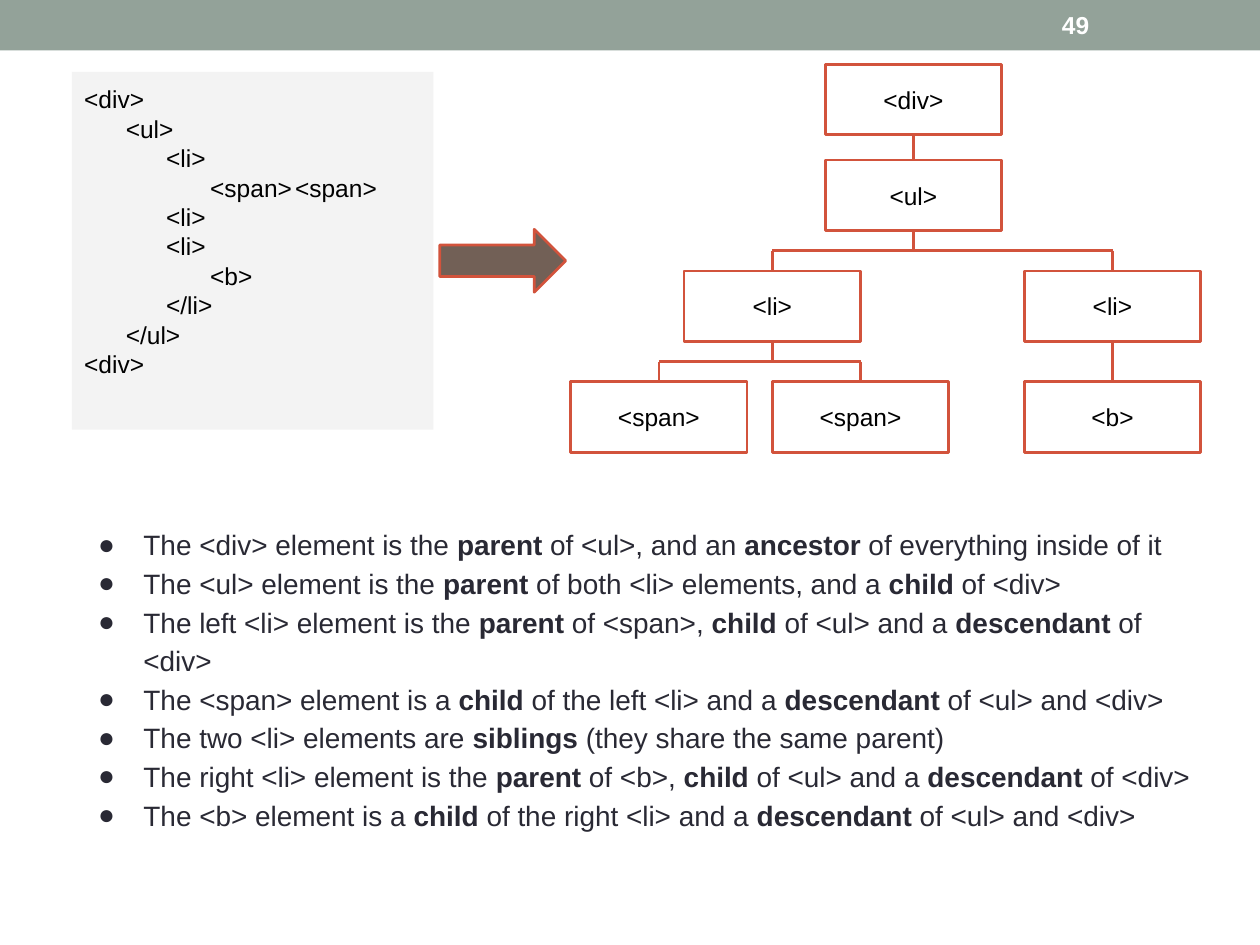
import pptx
import pptx.dml.color
import pptx.enum.shapes
import pptx.enum.text
import pptx.oxml.xmlchemy
import pptx.util
from pptx.dml.color import RGBColor
from pptx.util import Inches

SAGE = RGBColor(0x93, 0xA2, 0x99)
RUST = RGBColor(0xD2, 0x53, 0x3C)
BROWN = RGBColor(0x72, 0x60, 0x56)
PALE_GREY = RGBColor(0xF3, 0xF3, 0xF3)
INK = RGBColor(0x29, 0x29, 0x34)
BLACK = RGBColor(0, 0, 0)
WHITE = RGBColor(0xFF, 0xFF, 0xFF)

SHAPES = pptx.enum.shapes.MSO_SHAPE
ANCHOR = pptx.enum.text.MSO_ANCHOR
ALIGN = pptx.enum.text.PP_ALIGN

NODE_WIDTH, NODE_HEIGHT = 1.4, 0.56
TOP, BOTTOM = 0, 2  # connection sites

# Tag and nesting depth of each code line
CODE_INDENTS = [0, 0.33, 0.65, 1]
CODE = [
    ("<div>", 0), ("<ul>", 1), ("<li>", 2), ("<span>\t\t<span>", 3),
    ("<li>", 2), ("<li>", 2), ("<b>", 3), ("</li>", 2), ("</ul>", 1), ("<div>", 0),
]

# Asterisks enclose bold words
RELATIONS = [
    "The <div> element is the *parent* of <ul>, and an *ancestor* of everything inside of it",
    "The <ul> element is the *parent* of both <li> elements, and a *child* of <div>",
    "The left <li> element is the *parent* of <span>, *child* of <ul> and a *descendant* of <div>",
    "The <span> element is a *child* of the left <li> and a *descendant* of <ul> and <div>",
    "The two <li> elements are *siblings* (they share the same parent)",
    "The right <li> element is the *parent* of <b>, *child* of <ul> and a *descendant* of <div>",
    "The <b> element is a *child* of the right <li> and a *descendant* of <ul> and <div>",
]


class SlideBuilder:
    font_name = "Arial"
    line_width = pptx.util.Pt(1.5)

    def __init__(self, slide):
        self.slide = slide

    def style_font(self, font, size, color, bold=False):
        font.name = self.font_name
        font.size = pptx.util.Pt(size)
        font.color.rgb = color
        font.bold = bold

    def set_frame(self, frame, anchor, vertical_inset=0.1):
        frame.word_wrap = True
        frame.vertical_anchor = anchor
        frame.margin_left = frame.margin_right = Inches(0.1)
        frame.margin_top = frame.margin_bottom = Inches(vertical_inset)

    def shape(self, kind, left, top, width, height, fill, line=None):
        shape = self.slide.shapes.add_shape(
            kind, Inches(left), Inches(top), Inches(width), Inches(height))
        shape.shadow.inherit = False
        shape.fill.solid()
        shape.fill.fore_color.rgb = fill
        if line is None:
            shape.line.fill.background()
        else:
            shape.line.color.rgb = line
            shape.line.width = self.line_width
        return shape

    def text_box(self, left, top, width, height, vertical_inset=0.1):
        box = self.slide.shapes.add_textbox(
            Inches(left), Inches(top), Inches(width), Inches(height))
        self.set_frame(box.text_frame, ANCHOR.MIDDLE, vertical_inset)
        return box.text_frame

    def node(self, tag, center, top):
        shape = self.shape(SHAPES.RECTANGLE, center - NODE_WIDTH / 2, top,
                           NODE_WIDTH, NODE_HEIGHT, WHITE, RUST)
        frame = shape.text_frame
        self.set_frame(frame, ANCHOR.MIDDLE)
        frame.text = tag
        paragraph = frame.paragraphs[0]
        paragraph.alignment = ALIGN.CENTER
        self.style_font(paragraph.runs[0].font, 14, BLACK)
        return shape

    def connector(self, start, end, parent=None, child=None):
        line = self.slide.shapes.add_connector(
            pptx.enum.shapes.MSO_CONNECTOR.STRAIGHT, *start, *end)
        if parent is not None:
            line.begin_connect(parent, BOTTOM)
        if child is not None:
            line.end_connect(child, TOP)
        line.line.color.rgb = RUST
        line.line.width = self.line_width
        properties = line._element.spPr
        properties.append(pptx.oxml.xmlchemy.OxmlElement("a:effectLst"))

    def branch(self, parent, *children):
        """Join a parent to its children, through a shared bar if there are several."""
        start = (parent.left + parent.width // 2, parent.top + parent.height)
        ends = [(child.left + child.width // 2, child.top) for child in children]
        if len(children) == 1:
            self.connector(start, ends[0], parent, children[0])
            return
        bar = (start[1] + ends[0][1]) // 2
        self.connector(start, (start[0], bar), parent=parent)
        self.connector((ends[0][0], bar), (ends[-1][0], bar))
        for child, end in zip(children, ends):
            self.connector((end[0], bar), end, child=child)

    def code_block(self, lines, left, top, width, height):
        frame = self.shape(SHAPES.RECTANGLE, left, top, width, height, PALE_GREY).text_frame
        self.set_frame(frame, ANCHOR.TOP)
        frame.text = "\n".join(tag for tag, depth in lines)
        for paragraph, (tag, depth) in zip(frame.paragraphs, lines):
            paragraph.alignment = ALIGN.LEFT
            properties = paragraph._p.get_or_add_pPr()
            properties.set("marL", "0")
            properties.set("indent", str(Inches(CODE_INDENTS[depth])))
            for run in paragraph.runs:
                self.style_font(run.font, 14, BLACK)

    def bullet_list(self, items, left, top, width, height):
        frame = self.text_box(left, top, width, height)
        for index, item in enumerate(items):
            paragraph = frame.add_paragraph() if index else frame.paragraphs[0]
            paragraph.line_spacing = 1.15
            properties = paragraph._p.get_or_add_pPr()
            properties.set("marL", str(Inches(0.5)))
            properties.set("indent", str(Inches(-0.36)))
            bullet_font = pptx.oxml.xmlchemy.OxmlElement("a:buFont")
            bullet_font.set("typeface", self.font_name)
            bullet = pptx.oxml.xmlchemy.OxmlElement("a:buChar")
            bullet.set("char", "●")
            properties.extend([bullet_font, bullet])
            for part, words in enumerate(item.split("*")):
                if words:
                    run = paragraph.add_run()
                    run.text = words
                    self.style_font(run.font, 16, INK, bold=part % 2 == 1)

    def page_number(self, number, left, top, width, height):
        frame = self.text_box(left, top, width, height, vertical_inset=0.05)
        frame.text = number
        self.style_font(frame.paragraphs[0].runs[0].font, 14, WHITE, bold=True)


def main():
    presentation = pptx.Presentation()
    presentation.slide_width = Inches(10)
    presentation.slide_height = Inches(7.5)
    builder = SlideBuilder(presentation.slides.add_slide(presentation.slide_layouts[6]))

    # Header band
    builder.shape(SHAPES.RECTANGLE, 0, 0, 10, 0.4, SAGE)
    builder.page_number("49", 8.33, 0.02, 1.17, 0.36)

    # Element tree
    div = builder.node("<div>", 7.25, 0.51)
    ul = builder.node("<ul>", 7.25, 1.27)
    left_li, right_li = [builder.node("<li>", center, 2.15) for center in (6.13, 8.83)]
    spans = [builder.node("<span>", center, 3.03) for center in (5.23, 6.83)]
    bold = builder.node("<b>", 8.83, 3.03)
    builder.branch(div, ul)
    builder.branch(ul, left_li, right_li)
    builder.branch(left_li, *spans)
    builder.branch(right_li, bold)

    # Source code and arrow to the tree
    builder.code_block(CODE, 0.57, 0.57, 2.87, 2.84)
    builder.shape(SHAPES.RIGHT_ARROW, 3.49, 1.82, 1, 0.5, BROWN, RUST)

    # Relationships
    builder.bullet_list(RELATIONS, 0.54, 3.92, 9.11, 2.91)

    presentation.save("out.pptx")


if __name__ == "__main__":
    main()
